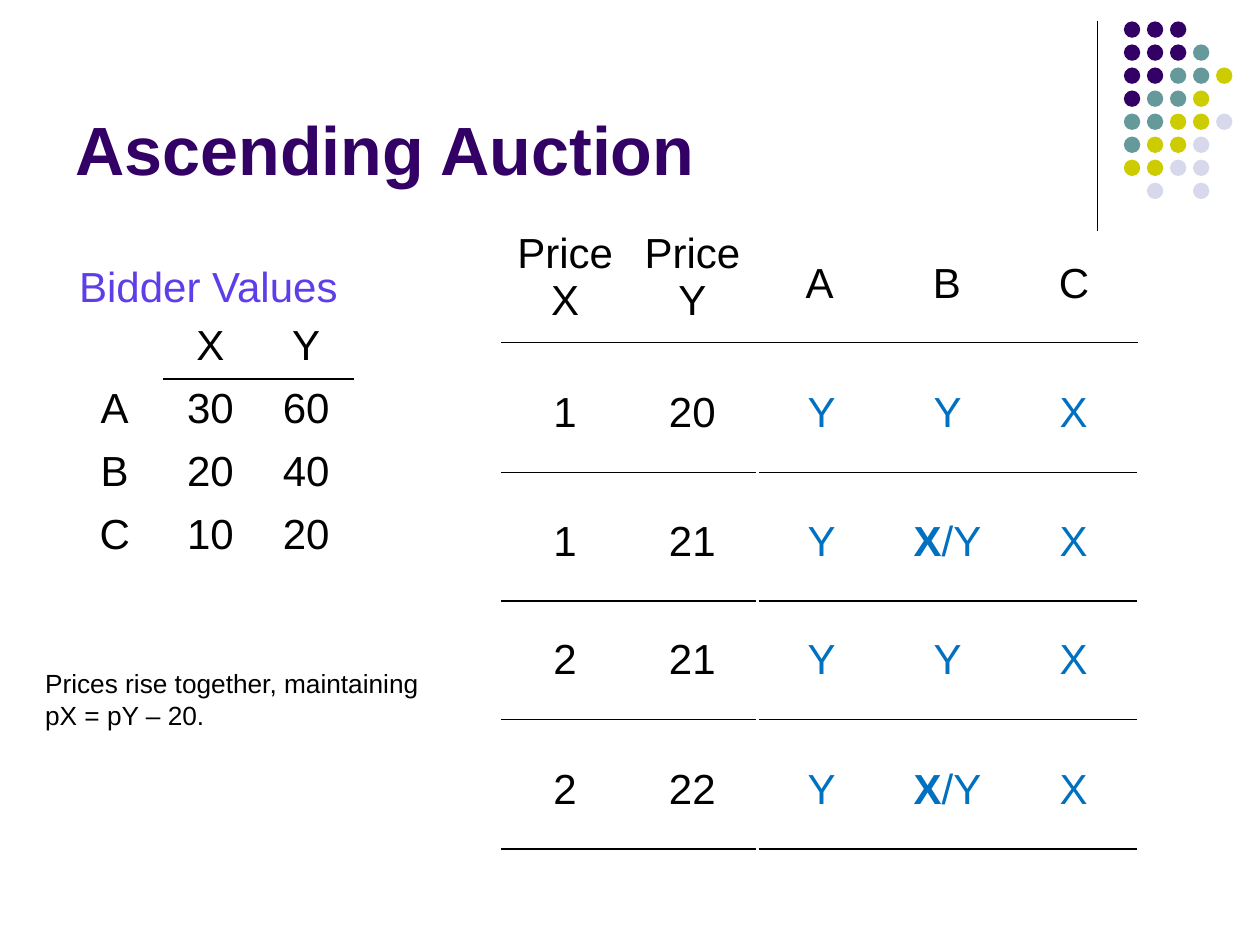
from dataclasses import dataclass

from lxml import etree
from pptx import Presentation
from pptx import util as u
from pptx.dml.color import RGBColor
from pptx.enum import shapes, text
from pptx.oxml import parse_xml
from pptx.oxml.ns import nsdecls, qn


@dataclass(frozen=True)
class Theme:
    font: str = "Arial"
    ink: str = "000000"
    title: str = "330066"
    heading: str = "5F3EEA"
    demand: str = "0070C0"
    teal: str = "669999"
    lime: str = "CCCC00"
    mist: str = "D8D8EC"
    title_size: int = 39
    body_size: int = 24
    note_size: int = 15


class SlideBuilder:
    """Draws styled elements on the current slide."""

    PLAIN_TABLE = "{2D5ABB26-0587-4C30-8999-92F81FD0307C}"

    def __init__(self, page, theme):
        self.page = page
        self.theme = theme

    def style(self, para, size, color, bold=False):
        for span in para.runs:
            span.font.name = self.theme.font
            span.font.size = u.Pt(size)
            span.font.color.rgb = RGBColor.from_string(color)
            span.font.bold = bold

    def text(self, content, bounds, size, color, bold=False, wrap=True,
             anchor=text.MSO_ANCHOR.TOP):
        box = self.page.shapes.add_textbox(*map(u.Inches, bounds))
        frame = box.text_frame
        frame.word_wrap = wrap
        frame.vertical_anchor = anchor
        frame.text = content
        self.style(frame.paragraphs[0], size, color, bold)

    def rule(self, left, top, bottom):
        line = self.page.shapes.add_connector(
            shapes.MSO_CONNECTOR.STRAIGHT,
            *map(u.Inches, (left, top, left, bottom)))
        line.line.color.rgb = RGBColor.from_string(self.theme.ink)
        line.line.width = u.Pt(0.75)
        etree.SubElement(line._element.spPr, qn("a:effectLst"))

    def dot(self, left, top, size, color):
        dot = self.page.shapes.add_shape(
            shapes.MSO_SHAPE.OVAL, *map(u.Inches, (left, top, size, size)))
        dot.shadow.inherit = False
        dot.fill.solid()
        dot.fill.fore_color.rgb = RGBColor.from_string(color)
        dot.line.fill.background()

    def underline(self, cell):
        border = parse_xml(
            f'<a:lnB {nsdecls("a")} w="12700"><a:solidFill>'
            f'<a:srgbClr val="{self.theme.ink}"/></a:solidFill></a:lnB>')
        cell._tc.get_or_add_tcPr().insert(0, border)

    def table(self, rows, left, top, column_width, row_height, color,
              underlined, top_anchored):
        """Draw a table; both predicates take a row and a column index."""
        width, height = column_width * len(rows[0]), row_height * len(rows)
        table = self.page.shapes.add_table(
            len(rows), len(rows[0]),
            *map(u.Inches, (left, top, width, height))).table
        table.first_row = table.horz_banding = False
        table._tbl.tblPr.find(qn("a:tableStyleId")).text = self.PLAIN_TABLE
        for r, row in enumerate(rows):
            for c, value in enumerate(row):
                cell = table.cell(r, c)
                cell.fill.background()
                if underlined(r, c):
                    self.underline(cell)
                cell.vertical_anchor = (
                    text.MSO_ANCHOR.TOP if top_anchored(r, c)
                    else text.MSO_ANCHOR.MIDDLE)
                self.cell_text(cell, value, color)

    def cell_text(self, cell, value, color):
        first, slash, rest = value.partition("/")
        para = cell.text_frame.paragraphs[0]
        para.text = first
        para.alignment = text.PP_ALIGN.CENTER
        if slash:
            para.add_run().text = slash + rest
        self.style(para, self.theme.body_size, color)
        if slash:
            para.runs[0].font.bold = True


def draw_dots(builder, theme):
    colors = {"P": theme.title, "T": theme.teal, "L": theme.lime,
              "M": theme.mist}
    pattern = ("PPP", "PPPT", "PPTTL", "PTTL", "TTLLM", "TLLM", "LLMM",
               " M M")
    pitch = 1.28 / 7
    for r, row in enumerate(pattern):
        for c, code in enumerate(row):
            if code in colors:
                builder.dot(8.92 + c * pitch, 0.17 + r * pitch, 0.13,
                            colors[code])


def draw_auction(builder, theme):
    def always(r, c):
        return True

    def never(r, c):
        return False

    builder.table([("Price X", "Price Y", "A", "B", "C")], 3.98, 1.78, 1.01,
                  0.94, theme.ink, always, lambda r, c: c < 2)
    rounds = (
        (2.81, ("1", "20"), ("Y", "Y", "X")),
        (3.83, ("1", "21"), ("Y", "X/Y", "X")),
        (4.77, ("2", "21"), ("Y", "Y", "X")),
        (5.8, ("2", "22"), ("Y", "X/Y", "X")),
    )
    for top, prices, demands in rounds:
        builder.table([prices], 3.98, top, 1.01, 0.94, theme.ink,
                      always, never)
        builder.table([demands], 6.02, top, 1, 0.94, theme.demand,
                      always, never)


def main():
    theme = Theme()
    deck = Presentation()
    deck.slide_width, deck.slide_height = u.Inches(10), u.Inches(7.5)
    page = deck.slides.add_slide(deck.slide_layouts[6])
    builder = SlideBuilder(page, theme)

    builder.rule(8.71, 0.17, 1.83)
    draw_dots(builder, theme)
    values = [("", "X", "Y"), ("A", "30", "60"), ("B", "20", "40"),
              ("C", "10", "20")]
    builder.table(values, 0.53, 2.51, 0.76, 0.5, theme.ink,
                  lambda r, c: r == 0 and c > 0, lambda r, c: True)
    builder.text("Bidder Values", (0.53, 2.02, 2.28, 0.5), theme.body_size,
                 theme.heading, wrap=False)
    builder.text("Ascending Auction", (0.5, 0.13, 8.25, 1.42),
                 theme.title_size, theme.title, bold=True,
                 anchor=text.MSO_ANCHOR.BOTTOM)
    draw_auction(builder, theme)
    builder.text("Prices rise together, maintaining pX = pY – 20.",
                 (0.26, 5.25, 3.31, 0.61), theme.note_size, theme.ink)
    deck.save("out.pptx")


if __name__ == "__main__":
    main()
